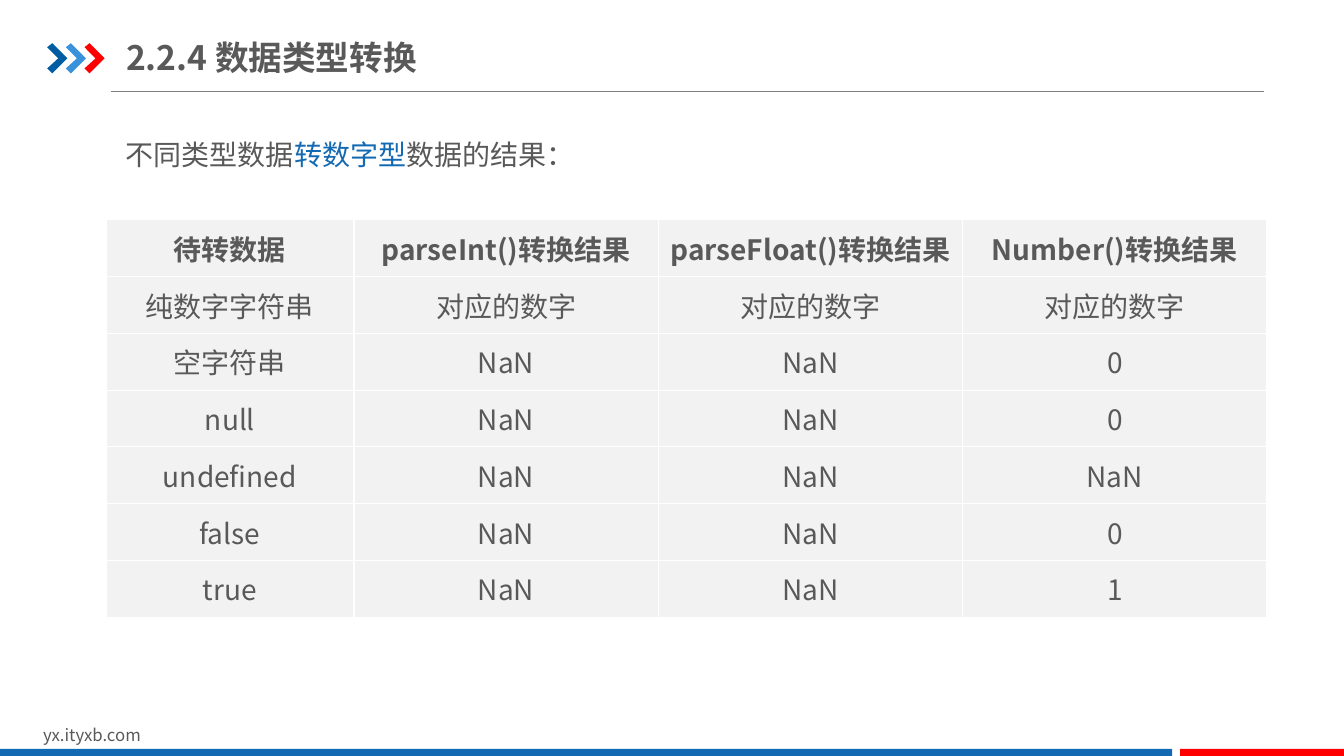
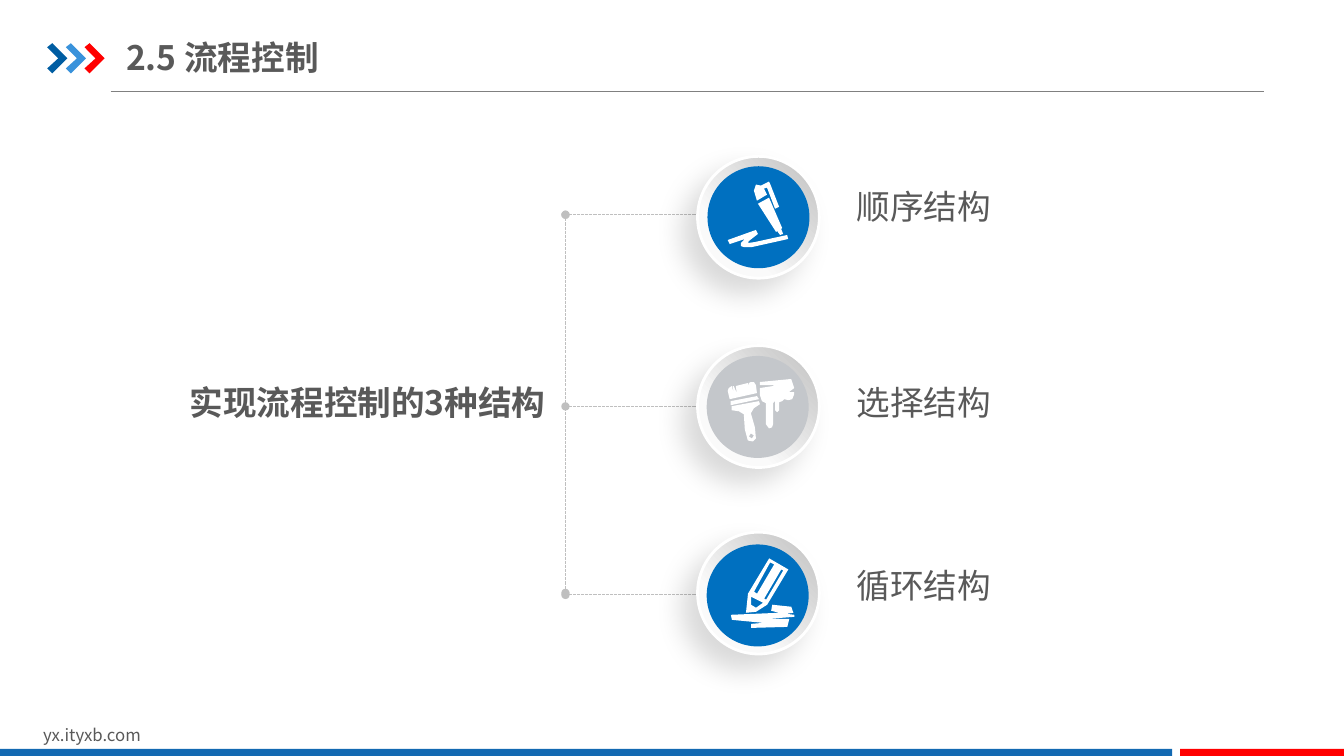
from lxml import etree
from pptx import Presentation
from pptx import util as u
from pptx.dml.color import RGBColor
from pptx.enum import dml, shapes, text
from pptx.oxml.ns import qn

# Shared look
FONT = "Noto Sans CJK SC"
GREY, BLUE, RED, WHITE = "595959", "1369B2", "FF0000", "FFFFFF"
DISC, PALE, RULE, DASH = "0070C0", "F2F2F2", "808080", "BFBFBF"
SITE = "yx.ityxb.com"
ARROW = [[(0, 4), (5, 0), (20, 15), (5, 30), (0, 25), (11, 15)]]
ARROWS = ["005DA2", "3992DB", RED]
BARS = [(0, 29.54, BLUE), (29.74, 4.13, RED)]

# Slide 1
TITLE1 = "2.2.4 数据类型转换"
INTRO = [("不同类型数据", GREY), ("转数字型", BLUE), ("数据的结果：", GREY)]
ROWS = [
    ("待转数据", "parseInt()转换结果", "parseFloat()转换结果", "Number()转换结果"),
    ("纯数字字符串", "对应的数字", "对应的数字", "对应的数字"),
    ("空字符串", "NaN", "NaN", "0"),
    ("null", "NaN", "NaN", "0"),
    ("undefined", "NaN", "NaN", "NaN"),
    ("false", "NaN", "NaN", "0"),
    ("true", "NaN", "NaN", "1"),
]
COLS = [6.25, 7.67, 7.67, 7.67]
ROW_H = 1.43

# Slide 2; icon outlines are in hundredths of an inch
TITLE2 = "2.5 流程控制"
HEAD = "实现流程控制的3种结构"
PEN = [
    [(30, 23), (41, 17), (54, 47), (53, 48), (55, 53), (52, 54), (49, 50), (48, 51)],
    [(0, 59), (2, 63), (17, 58), (13, 62), (13, 65), (16, 66), (24, 66), (60, 58),
     (59, 54), (27, 61), (20, 62), (21, 60), (30, 53), (28, 49)],
    [(33, 5), (28, 4), (26, 10), (29, 20), (39, 14), (36, 8), (39, 7), (47, 28),
     (51, 26), (42, 3), (41, 1), (39, 2)],
]
BRUSH = [
    [(51, 23), (51, 31), (49, 33), (47, 31), (47, 22), (45, 24), (45, 45), (44, 48),
     (41, 49), (38, 45), (38, 24), (34, 22), (32, 16), (32, 9), (45, 7), (46, 6),
     (32, 6), (32, 3), (63, 0), (66, 9), (62, 12), (61, 13), (66, 13), (66, 15),
     (64, 20), (60, 21), (56, 20), (54, 22)],
    [(3, 22), (29, 17), (31, 20), (3, 26)],
    [(31, 22), (4, 27), (4, 31), (11, 32), (16, 35), (17, 50), (20, 61), (25, 62),
     (28, 59), (27, 48), (23, 34), (26, 29), (32, 25)],
    [(23, 54), (26, 56), (24, 59), (21, 57)],
    [(29, 14), (28, 6), (26, 3), (23, 3), (21, 4), (21, 7), (20, 4), (8, 7), (9, 14),
     (6, 7), (5, 7), (6, 14), (4, 7), (1, 9), (0, 12), (2, 20)],
]
PENCIL = [
    [(38, 0), (57, 11), (36, 46), (25, 53), (15, 54), (17, 35)],
    [(56, 68), (58, 60), (37, 60), (63, 58), (63, 56), (55, 55), (62, 54), (60, 48),
     (41, 46), (40, 52), (48, 54), (0, 56), (1, 61), (32, 64), (20, 65), (20, 69)],
    [(25, 49), (32, 44), (20, 38), (20, 46)],
    [(50, 11), (33, 40), (35, 41), (52, 12)],
    [(39, 4), (23, 33), (26, 35), (43, 6)],
]
# label, label top, line y, ring top, disc left, disc top, disc colour, icon, icon place
ITEMS = [
    ("顺序结构", 4.55, 5.41, 3.94, 17.83, 4.19, DISC, PEN, (18.34, 4.55)),
    ("选择结构", 9.5, 10.24, 8.71, 17.81, 8.97, "C4C7CB", BRUSH, (18.34, 9.55)),
    ("循环结构", 14.1, 14.99, 13.41, 17.81, 13.72, DISC, PENCIL, (18.42, 14.07)),
]
STEM, RING_X, LABEL_X = 14.25, 17.58, 21.34
RING, INNER = 3.07, 2.57


def rgb(code):
    return RGBColor.from_string(code)


def sub(node, tag, **attrs):
    return etree.SubElement(node, qn(tag), attrs)


def add_run(para, words, size, color=GREY, bold=False):
    run = para.add_run()
    run.text = words
    font = run.font
    font.name, font.size, font.bold = FONT, u.Pt(size), bold
    font.color.rgb = rgb(color)
    sub(run._r.get_or_add_rPr(), "a:ea", typeface=FONT)


def add_text(slide, box, runs, size, bold=False, inset=True, gap=None):
    frame = slide.shapes.add_textbox(*map(u.Cm, box)).text_frame
    frame.word_wrap = True
    if inset:
        frame.auto_size = text.MSO_AUTO_SIZE.SHAPE_TO_FIT_TEXT
    else:
        frame.margin_left = frame.margin_right = 0
        frame.margin_top = frame.margin_bottom = 0
    para = frame.paragraphs[0]
    if gap:
        para.line_spacing = gap
    for words, color in runs:
        add_run(para, words, size, color, bold)


def paint(shape, color):
    shape.shadow.inherit = False
    shape.fill.solid()
    shape.fill.fore_color.rgb = rgb(color)
    shape.line.fill.background()


def add_flat(slide, kind, box, color):
    shape = slide.shapes.add_shape(kind, *map(u.Cm, box))
    paint(shape, color)


def add_free(slide, paths, place, color):
    pen = None
    for first, *rest in paths:
        if pen is None:
            pen = slide.shapes.build_freeform(*first, scale=u.Cm(0.0254))
        else:
            pen.move_to(*first)
        pen.add_line_segments(rest, close=True)
    paint(pen.convert_to_shape(*map(u.Cm, place)), color)


def add_line(slide, ends, color, dots=False):
    line = slide.shapes.add_connector(shapes.MSO_CONNECTOR.STRAIGHT, *map(u.Cm, ends))
    line.line.color.rgb = rgb(color)
    line.line.width = u.Pt(0.75)
    props = line._element.spPr
    if dots:
        line.line.dash_style = dml.MSO_LINE.SQUARE_DOT
        for tag in ("a:headEnd", "a:tailEnd"):
            sub(props.find(qn("a:ln")), tag, type="oval")
    sub(props, "a:effectLst")


def add_ring(slide, left, top):
    ring = slide.shapes.add_shape(
        shapes.MSO_SHAPE.OVAL, *map(u.Cm, (left, top, RING, RING)))
    ring.fill.gradient()
    ring.fill.gradient_angle = 225
    for stop, (pos, color) in zip(ring.fill.gradient_stops, [(0, DASH), (0.7, "FAFAFA")]):
        stop.position = pos
        stop.color.rgb = rgb(color)
    ring.line.color.rgb = rgb(WHITE)
    ring.line.width = u.Pt(2)
    # Soft shadow to the lower left
    ring.shadow.inherit = False
    cast = sub(ring._element.spPr.find(qn("a:effectLst")), "a:outerShdw",
               blurRad=str(u.Pt(20)), dist=str(u.Pt(15)), dir="8100000",
               algn="tr", rotWithShape="0")
    sub(sub(cast, "a:srgbClr", val="000000"), "a:alpha", val="15000")


def build_frame(layout, slide):
    """Draw the shared parts once and move them to the layout."""
    for holder in list(layout.placeholders):
        if holder.placeholder_format.type != shapes.PP_PLACEHOLDER.TITLE:
            holder.element.getparent().remove(holder.element)
    title = layout.placeholders[0]
    title.left, title.top, title.width, title.height = map(
        u.Cm, (3.18, 0.74, 14.55, 1.4))
    add_line(slide, (2.79, 2.31, 31.85, 2.31), RULE)
    for i, color in enumerate(ARROWS):
        add_free(slide, ARROW, (1.19 + 0.47 * i, 1.09), color)
    add_text(slide, (0.84, 18.14, 8.08, 0.76), [(SITE, GREY)], 12)
    for left, width, color in BARS:
        add_flat(slide, shapes.MSO_SHAPE.RECTANGLE, (left, 18.87, width, 0.18), color)
    for shape in list(slide.shapes):
        if not shape.is_placeholder:
            layout.shapes.element.append(shape.element)


def set_title(slide, words):
    frame = slide.shapes.title.text_frame
    frame.auto_size = text.MSO_AUTO_SIZE.NONE
    frame.vertical_anchor = text.MSO_ANCHOR.MIDDLE
    frame.margin_left = frame.margin_right = 0
    frame.margin_top = frame.margin_bottom = u.Cm(0.18)
    para = frame.paragraphs[0]
    para.alignment = text.PP_ALIGN.LEFT
    add_run(para, words, 24, bold=True)


def fill_cell(cell, words, bold):
    cell.margin_left = cell.margin_right = u.Cm(0.18)
    cell.margin_top = cell.margin_bottom = 0
    cell.vertical_anchor = text.MSO_ANCHOR.MIDDLE
    para = cell.text_frame.paragraphs[0]
    para.alignment = text.PP_ALIGN.CENTER
    add_run(para, words, 20, bold=bold)
    # Borders go before the fill
    props = cell._tc.get_or_add_tcPr()
    for side in "LRTB":
        edge = sub(props, "a:ln" + side, w=str(u.Pt(1)))
        sub(sub(edge, "a:solidFill"), "a:srgbClr", val=WHITE)
    cell.fill.solid()
    cell.fill.fore_color.rgb = rgb(PALE)


def build_table(slide):
    set_title(slide, TITLE1)
    add_text(slide, (2.92, 2.92, 29.41, 1.4), INTRO, 20, gap=1.5)
    box = (2.67, 5.54, sum(COLS), ROW_H * len(ROWS))
    table = slide.shapes.add_table(len(ROWS), len(COLS), *map(u.Cm, box)).table
    for col, width in zip(table.columns, COLS):
        col.width = u.Cm(width)
    for r, row in enumerate(ROWS):
        table.rows[r].height = u.Cm(ROW_H)
        for c, words in enumerate(row):
            fill_cell(table.cell(r, c), words, r == 0)


def build_flow(slide):
    set_title(slide, TITLE2)
    # Dashed bracket
    for item in ITEMS:
        add_line(slide, (19.18, item[2], STEM, item[2]), DASH, dots=True)
    add_line(slide, (STEM, ITEMS[0][2], STEM, 14.94), DASH, dots=True)
    # Round badges and labels
    for label, top, _, ring, left, disc, color, icon, place in ITEMS:
        add_ring(slide, RING_X, ring)
        add_flat(slide, shapes.MSO_SHAPE.OVAL, (left, disc, INNER, INNER), color)
        add_free(slide, icon, place, WHITE)
        add_text(slide, (LABEL_X, top, 10.8, 1.27), [(label, GREY)], 24)
    add_text(slide, (4.78, 9.63, 9.35, 0.91), [(HEAD, GREY)], 24, bold=True, inset=False)


def main():
    deck = Presentation()
    deck.slide_width, deck.slide_height = u.Cm(33.87), u.Cm(19.05)
    layout = deck.slide_layouts[5]
    first, second = (deck.slides.add_slide(layout) for _ in range(2))
    build_frame(layout, first)
    build_table(first)
    build_flow(second)
    deck.save("out.pptx")


if __name__ == "__main__":
    main()
